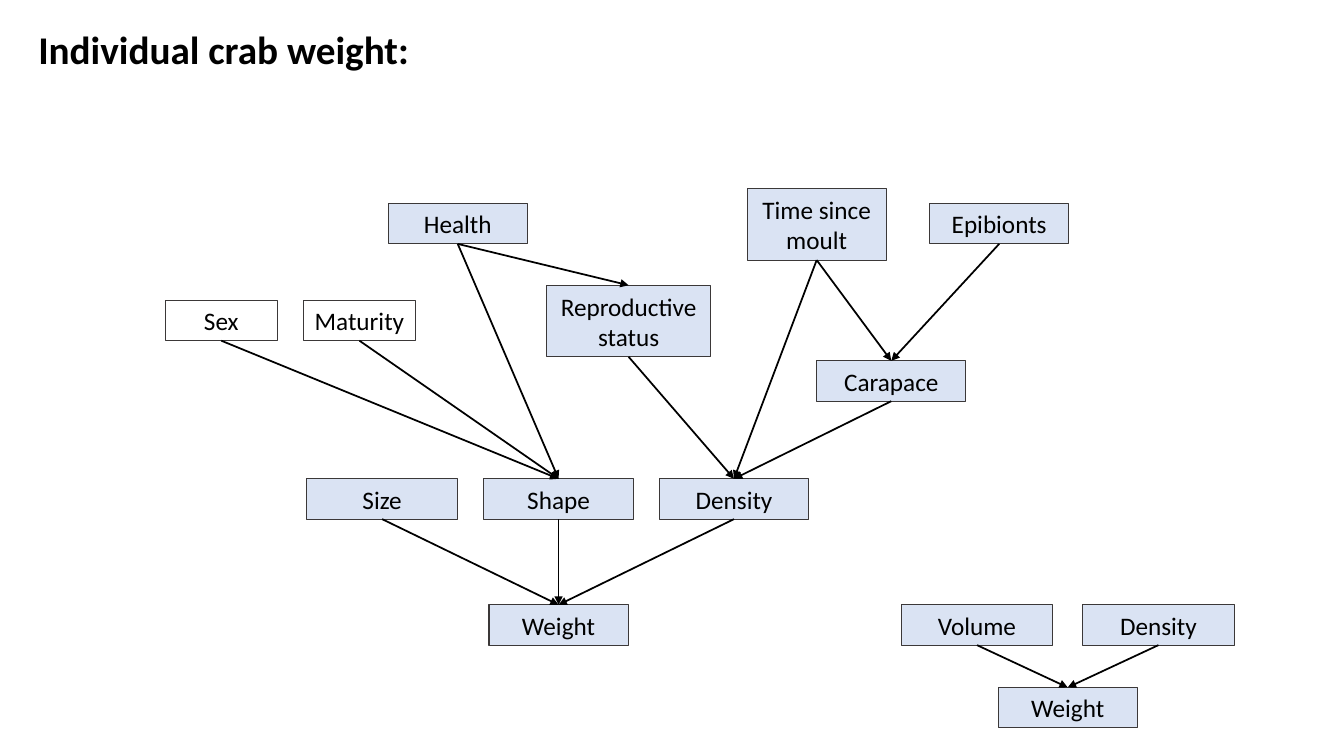
"""Build a slide showing what determines the weight of an individual crab."""
from dataclasses import dataclass

from lxml import etree
from pptx import Presentation
from pptx import util as u
from pptx.dml.color import RGBColor
from pptx.enum import shapes, text
from pptx.oxml.ns import qn
from pptx.shapes.autoshape import Shape
from pptx.slide import Slide

PX = 9144
FONT = "Calibri"
BLACK = RGBColor(0x00, 0x00, 0x00)
PALE_BLUE = RGBColor(0xDA, 0xE3, 0xF3)
OUTLINE = RGBColor(0x3B, 0x38, 0x38)
TOP, BOTTOM = 0, 2


@dataclass(frozen=True)
class Factor:
    label: str
    left: int
    top: int
    width: int = 138
    height: int = 40
    filled: bool = True


@dataclass(frozen=True)
class Influence:
    target: Factor
    causes: tuple[Factor, ...]


HEALTH = Factor("Health", 385, 202)
MOULT = Factor("Time since moult", 741, 187, height=71)
EPIBIONTS = Factor("Epibionts", 922, 202)
SEX = Factor("Sex", 164, 298, 111, filled=False)
MATURITY = Factor("Maturity", 301, 298, 111, filled=False)
REPRODUCTION = Factor("Reproductive status", 542, 283, 163, 71)
CARAPACE = Factor("Carapace", 810, 358, 148)
SIZE = Factor("Size", 304, 475, 150)
SHAPE = Factor("Shape", 480, 475, 148)
DENSITY = Factor("Density", 654, 475, 148)
WEIGHT = Factor("Weight", 485, 600)
VOLUME = Factor("Volume", 894, 600, 150)
SIDE_DENSITY = Factor("Density", 1074, 600, 150)
SIDE_WEIGHT = Factor("Weight", 990, 682)

FACTORS = (HEALTH, MOULT, EPIBIONTS, SEX, MATURITY, REPRODUCTION, CARAPACE,
           SIZE, SHAPE, DENSITY, WEIGHT, VOLUME, SIDE_DENSITY, SIDE_WEIGHT)
INFLUENCES = (
    Influence(REPRODUCTION, (HEALTH,)),
    Influence(CARAPACE, (MOULT, EPIBIONTS)),
    Influence(SHAPE, (SEX, MATURITY, HEALTH)),
    Influence(DENSITY, (REPRODUCTION, MOULT, CARAPACE)),
    Influence(WEIGHT, (SIZE, SHAPE, DENSITY)),
    Influence(SIDE_WEIGHT, (VOLUME, SIDE_DENSITY)),
)


def write(sp: Shape, words: str, size: int, align: text.PP_ALIGN,
          bold: bool = False, wrap: bool = True) -> None:
    """Put one formatted paragraph in a shape."""
    tf = sp.text_frame
    tf.text = words
    tf.word_wrap = wrap
    tf.auto_size = text.MSO_AUTO_SIZE.SHAPE_TO_FIT_TEXT
    p = tf.paragraphs[0]
    p.alignment = align
    p.font.name, p.font.size, p.font.bold = FONT, u.Pt(size), bold
    p.font.color.rgb = BLACK


def add_title(s: Slide, words: str) -> None:
    """Place and format the title placeholder."""
    sp = s.shapes.title
    sp.left, sp.top, sp.width, sp.height = (n * PX for n in (28, 20, 392, 57))
    write(sp, words, 28, text.PP_ALIGN.LEFT, bold=True, wrap=False)
    sp.text_frame.vertical_anchor = text.MSO_ANCHOR.TOP


def add_factor(s: Slide, factor: Factor) -> Shape:
    """Draw a labelled box."""
    frame = (factor.left, factor.top, factor.width, factor.height)
    sp = s.shapes.add_shape(shapes.MSO_SHAPE.RECTANGLE, *(n * PX for n in frame))
    sp.shadow.inherit = False
    if factor.filled:
        sp.fill.solid()
        sp.fill.fore_color.rgb = PALE_BLUE
    else:
        sp.fill.background()
    sp.line.color.rgb = OUTLINE
    sp.line.width = u.Pt(0.75)
    write(sp, factor.label, 18, text.PP_ALIGN.CENTER)
    return sp


def add_arrow(s: Slide, cause: Shape, target: Shape) -> None:
    """Link the bottom of one box to the top of another."""
    cxn = s.shapes.add_connector(shapes.MSO_CONNECTOR.STRAIGHT, 0, 0, 0, 0)
    cxn.begin_connect(cause, BOTTOM)
    cxn.end_connect(target, TOP)
    cxn.line.color.rgb = BLACK
    cxn.line.width = u.Pt(1.25)
    etree.SubElement(cxn.line._get_or_add_ln(), qn("a:tailEnd"), type="triangle")
    etree.SubElement(cxn._element.spPr, qn("a:effectLst"))


def main() -> None:
    """Build and save the slide."""
    prs = Presentation()
    prs.slide_width, prs.slide_height = u.Inches(13.33), u.Inches(7.5)
    s = prs.slides.add_slide(prs.slide_layouts[5])
    add_title(s, "Individual crab weight:")
    boxes = {factor: add_factor(s, factor) for factor in FACTORS}
    for influence in INFLUENCES:
        for cause in influence.causes:
            add_arrow(s, boxes[cause], boxes[influence.target])
    prs.save("out.pptx")


if __name__ == "__main__":
    main()
